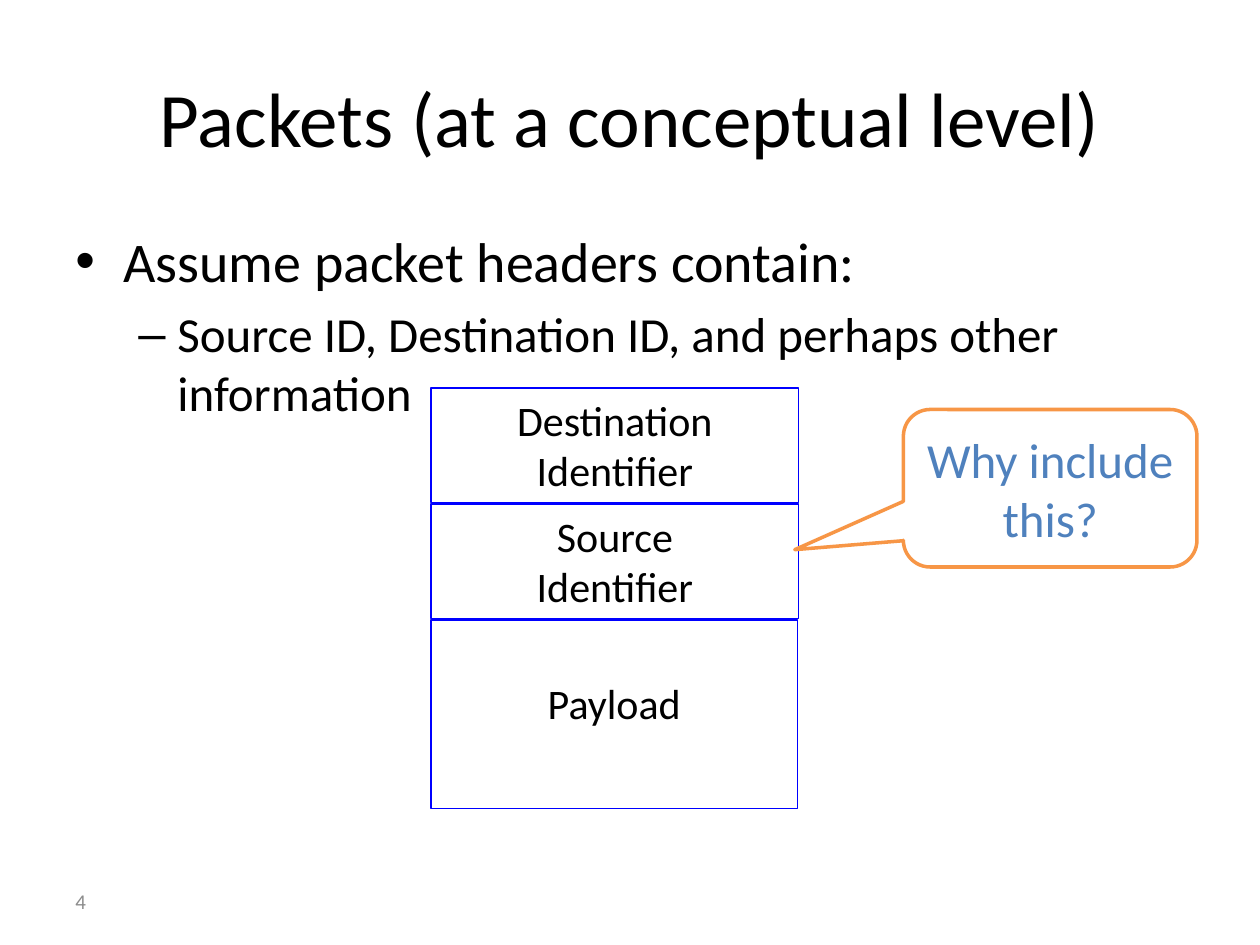
from lxml import etree
from pptx import Presentation
from pptx.dml.color import RGBColor
from pptx.enum.shapes import MSO_SHAPE
from pptx.enum.text import MSO_ANCHOR, PP_ALIGN
from pptx.oxml.ns import qn
from pptx.util import Pt

EMU_PER_PX = 9144
RECTANGLE = MSO_SHAPE.RECTANGLE
CALLOUT = MSO_SHAPE.ROUNDED_RECTANGULAR_CALLOUT
TOP, MIDDLE = MSO_ANCHOR.TOP, MSO_ANCHOR.MIDDLE
LEFT, CENTER = PP_ALIGN.LEFT, PP_ALIGN.CENTER


def px(length):
    return length * EMU_PER_PX


def color(value):
    return RGBColor.from_string(value)


class PacketSlide:
    font = "Calibri"
    ink = "000000"
    muted = "8C8C8C"
    field_line = "0000FF"
    callout_line = "F79646"
    callout_ink = "4F81BD"
    paper = "FFFFFF"

    def __init__(self, deck):
        self.page = deck.slides.add_slide(deck.slide_layouts[6])

    def style(self, para, size, ink, align=LEFT):
        para.alignment = align
        for span in para.runs:
            span.font.name = self.font
            span.font.size = Pt(size)
            span.font.color.rgb = color(ink)

    def fill_text(self, shape, text, size, ink, align, anchor):
        frame = shape.text_frame
        frame.text = text
        frame.word_wrap = True
        frame.vertical_anchor = anchor
        frame.margin_left = frame.margin_right = px(10)
        frame.margin_top = frame.margin_bottom = px(5)
        for para in frame.paragraphs:
            self.style(para, size, ink, align)
        return frame

    def text(self, text, area, size, ink=ink, align=LEFT, anchor=MIDDLE):
        box = self.page.shapes.add_textbox(*map(px, area))
        return self.fill_text(box, text, size, ink, align, anchor)

    def bullets(self, items, area):
        frame = self.text("\n".join(item[0] for item in items), area, 32, anchor=TOP)
        for index, (para, item) in enumerate(zip(frame.paragraphs, items)):
            _, level, mark, size, margin, hanging = item
            para.level = level
            properties = para._p.get_or_add_pPr()
            properties.set("marL", str(px(margin)))
            properties.set("indent", str(px(-hanging)))
            etree.SubElement(properties, qn("a:buFont"), typeface="Arial")
            etree.SubElement(properties, qn("a:buChar"), char=mark)
            if index:
                para.space_before = Pt(size * 0.2)
            self.style(para, size, self.ink)

    def shape(self, kind, area, line, width):
        shape = self.page.shapes.add_shape(kind, *map(px, area))
        shape.shadow.inherit = False
        shape.line.color.rgb = color(line)
        shape.line.width = Pt(width)
        return shape

    def field(self, text, area, inset=5):
        box = self.shape(RECTANGLE, area, self.field_line, 0.75)
        box.fill.background()
        frame = self.fill_text(box, text, 24, self.ink, CENTER, TOP)
        frame.margin_top = px(inset)

    def callout(self, text, area, adjustments):
        bubble = self.shape(CALLOUT, area, self.callout_line, 2)
        bubble.fill.solid()
        bubble.fill.fore_color.rgb = color(self.paper)
        for index, value in enumerate(adjustments):
            bubble.adjustments[index] = value
        frame = self.fill_text(bubble, text, 28, self.callout_ink, CENTER, MIDDLE)
        frame.word_wrap = False


def main():
    deck = Presentation()
    deck.slide_width, deck.slide_height = px(1000), px(750)
    slide = PacketSlide(deck)
    slide.text("Packets (at a conceptual level)", (50, 30, 900, 125), 44, align=CENTER)
    slide.bullets(
        [
            ("Assume packet headers contain:", 0, "•", 32, 38, 38),
            ("Source ID, Destination ID, and perhaps other information", 1, "–", 28, 81, 31),
        ],
        (50, 175, 900, 495),
    )
    slide.text("4", (50, 695, 233, 40), 12, slide.muted)
    for row, name in enumerate(("Destination", "Source")):
        slide.field(f"{name}\nIdentifier", (342, 308 + 92 * row, 292, 91))
    slide.field("Payload", (342, 492, 291, 150), inset=46)
    slide.callout("Why include\nthis?", (717, 325, 233, 125), (-0.87, 0.39, 0.17))
    deck.save("out.pptx")


if __name__ == "__main__":
    main()
